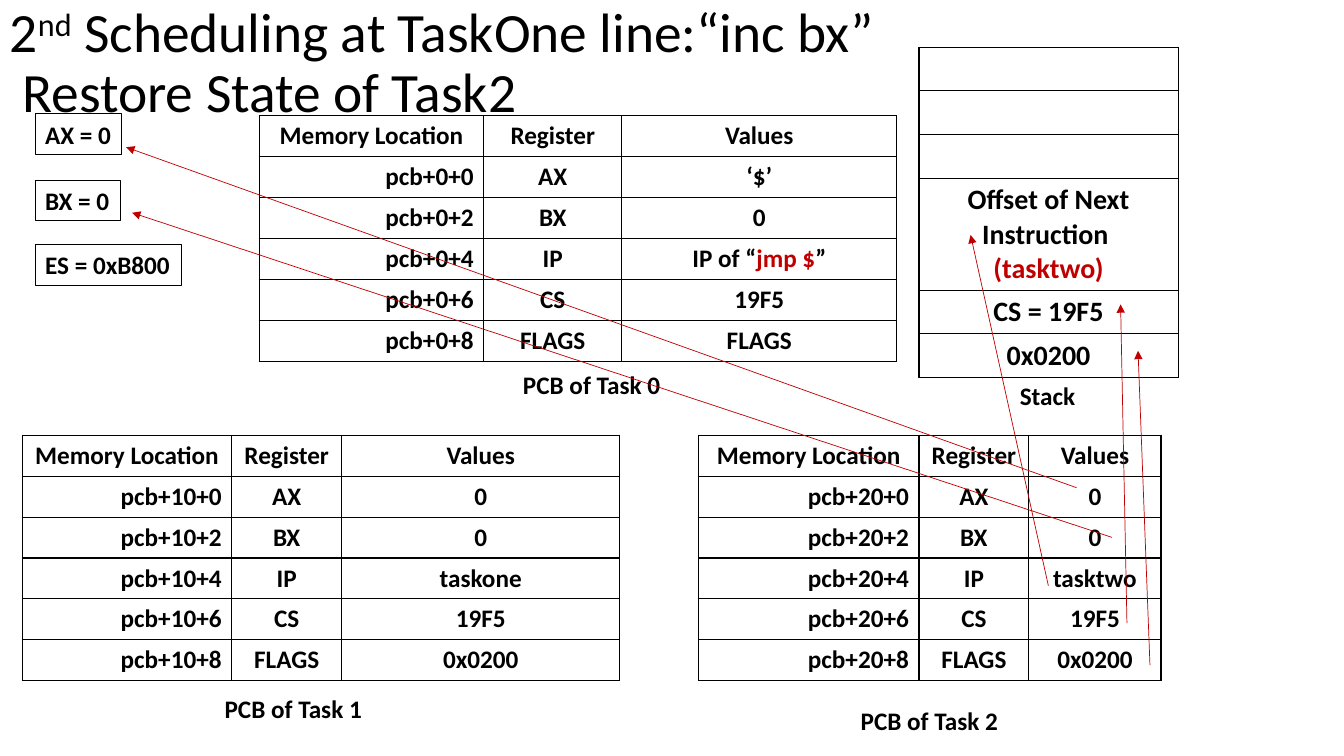
from typing import Any, NamedTuple

import pptx
import pptx.dml.color
import pptx.enum.dml
import pptx.enum.shapes
import pptx.enum.text
import pptx.oxml
import pptx.oxml.ns
import pptx.util
from pptx.util import Cm, Pt

COLORS = {"ink": "000000", "accent": "C00000", "paper": "FFFFFF"}
BODY = {"name": "Calibri", "size": Pt(18), "bold": True}
STACK_BODY = BODY | {"size": Pt(20)}
TITLE = {"name": "Calibri", "size": Pt(39.6), "bold": False}
TIGHT = {"word_wrap": False, "auto_size": pptx.enum.text.MSO_AUTO_SIZE.SHAPE_TO_FIT_TEXT}
PLAIN_TABLE = {"first_row": False, "horz_banding": False}
CENTER = pptx.enum.text.PP_ALIGN.CENTER
RIGHT = pptx.enum.text.PP_ALIGN.RIGHT
LEFT = pptx.enum.text.PP_ALIGN.LEFT
REGISTERS = ("AX", "BX", "IP", "CS", "FLAGS")
ROW_HEIGHT = 1.03
LABEL_HEIGHT = 1.02


class Pcb(NamedTuple):
    """Process control block; text between asterisks is accented."""
    offset: int
    left: float
    top: float
    widths: tuple[float, ...]
    values: tuple[str, ...]


class Label(NamedTuple):
    text: str
    left: float
    top: float
    width: float
    outlined: bool = False


class Arrow(NamedTuple):
    start: tuple[float, float]
    end: tuple[float, float]


PCBS = (
    Pcb(10, 0.56, 10.97, (5.28, 2.77, 7.01), ("0", "0", "taskone", "19F5", "0x0200")),
    Pcb(20, 17.6, 10.97, (5.56, 2.77, 3.33), ("0", "0", "tasktwo", "19F5", "0x0200")),
    Pcb(0, 6.53, 2.92, (5.66, 3.48, 6.93),
        ("‘$’", "0", "IP of “*jmp $*”", "19F5", "FLAGS")),
)
STACK_ROWS = (
    ("", 1.1), ("", 1.1), ("", 1.1),
    ("Offset of Next Instruction \n*(tasktwo)*", 2.82),
    ("CS = 19F5", 1.1), ("0x0200", 1.1),
)
LABELS = (
    Label("PCB of Task 1", 5.41, 17.35, 4.01),
    Label("PCB of Task 2", 21.44, 17.65, 4.01),
    Label("PCB of Task 0", 12.93, 9.19, 4.01),
    Label("Stack", 25.45, 9.47, 1.93),
    Label("AX = 0", 0.89, 2.87, 2.18, True),
    Label("BX = 0", 0.89, 4.55, 2.16, True),
    Label("ES = 0xB800", 0.89, 6.17, 3.68, True),
)
RESTORES = (
    Arrow((28.98, 16.76), (28.68, 8.84)),
    Arrow((28.4, 15.7), (28.24, 7.67)),
    Arrow((26.42, 14.76), (24.46, 5.92)),
    Arrow((28.02, 13.54), (3.33, 5.36)),
    Arrow((27.13, 12.29), (3.18, 3.71)),
)


def rgb(color: str) -> Any:
    return pptx.dml.color.RGBColor.from_string(COLORS[color])


def apply(target: Any, values: dict[str, Any]) -> None:
    for attribute, value in values.items():
        setattr(target, attribute, value)


def add_run(paragraph: Any, text: str, style: dict[str, Any], color: str = "ink") -> Any:
    run = paragraph.add_run()
    run.text = text
    apply(run.font, style)
    run.font.color.rgb = rgb(color)
    return run


def write(frame: Any, text: str, style: dict[str, Any], align: Any) -> None:
    """Fill a text frame, accenting whatever stands between asterisks."""
    for index, line in enumerate(text.split("\n")):
        paragraph = frame.add_paragraph() if index else frame.paragraphs[0]
        paragraph.alignment = align
        for part, words in enumerate(line.split("*")):
            if words:
                add_run(paragraph, words, style, "accent" if part % 2 else "ink")


def add_grid(slide: Any, left: float, top: float, widths: tuple[float, ...],
             heights: tuple[float, ...]) -> Any:
    """Add a white table with thin black borders."""
    table = slide.shapes.add_table(
        len(heights), len(widths), Cm(left), Cm(top), Cm(sum(widths)), Cm(sum(heights))).table
    apply(table, PLAIN_TABLE)
    for column, width in zip(table.columns, widths):
        column.width = Cm(width)
    for row, height in zip(table.rows, heights):
        row.height = Cm(height)
    for cell in table.iter_cells():
        properties = cell._tc.get_or_add_tcPr()
        for side in "LRTB":
            properties.append(pptx.oxml.parse_xml(
                f'<a:ln{side} {pptx.oxml.ns.nsdecls("a")} w="{Pt(1)}"><a:solidFill>'
                f'<a:srgbClr val="{COLORS["ink"]}"/></a:solidFill></a:ln{side}>'))
        cell.fill.solid()
        cell.fill.fore_color.rgb = rgb("paper")
    return table


def add_pcb(slide: Any, pcb: Pcb) -> None:
    rows = [("Memory Location", "Register", "Values")]
    for index, (register, value) in enumerate(zip(REGISTERS, pcb.values)):
        rows.append((f"pcb+{pcb.offset}+{2 * index}", register, value))
    table = add_grid(slide, pcb.left, pcb.top, pcb.widths, (ROW_HEIGHT,) * len(rows))
    for r, row in enumerate(rows):
        for c, text in enumerate(row):
            align = RIGHT if r and c == 0 else CENTER
            write(table.cell(r, c).text_frame, text, BODY, align)


def add_stack(slide: Any) -> None:
    heights = tuple(height for _, height in STACK_ROWS)
    table = add_grid(slide, 23.16, 1.19, (6.53,), heights)
    for r, (text, _) in enumerate(STACK_ROWS):
        write(table.cell(r, 0).text_frame, text, STACK_BODY, CENTER)


def add_label(slide: Any, label: Label) -> None:
    box = slide.shapes.add_textbox(
        Cm(label.left), Cm(label.top), Cm(label.width), Cm(LABEL_HEIGHT))
    apply(box.text_frame, TIGHT)
    write(box.text_frame, label.text, BODY, LEFT)
    if label.outlined:
        box.line.color.rgb = rgb("ink")
        box.line.width = Pt(0.75)


def add_arrow(slide: Any, arrow: Arrow) -> None:
    points = (Cm(value) for value in arrow.start + arrow.end)
    line = slide.shapes.add_connector(pptx.enum.shapes.MSO_CONNECTOR.STRAIGHT, *points)
    line.line.color.rgb = rgb("accent")
    line.line.width = Pt(0.5)
    namespace = pptx.oxml.ns.nsdecls("a")
    line.line._get_or_add_ln().append(
        pptx.oxml.parse_xml(f'<a:tailEnd {namespace} type="triangle"/>'))
    line._element.spPr.append(pptx.oxml.parse_xml(f"<a:effectLst {namespace}/>"))


def add_title(slide: Any) -> None:
    title = slide.shapes.add_textbox(Cm(0), Cm(0.69), Cm(33.87), Cm(1.88))
    apply(title.text_frame, {"word_wrap": True,
                             "vertical_anchor": pptx.enum.text.MSO_ANCHOR.MIDDLE})
    paragraph = title.text_frame.paragraphs[0]
    paragraph.line_spacing = 0.9
    add_run(paragraph, "2", TITLE)
    ordinal = add_run(paragraph, "nd", TITLE)
    ordinal._r.get_or_add_rPr().set("baseline", "30000")
    add_run(paragraph, " Scheduling at TaskOne line:“inc bx”", TITLE)
    paragraph.add_line_break()
    add_run(paragraph, " Restore State of Task2", TITLE)


def main() -> None:
    presentation = pptx.Presentation()
    apply(presentation, {"slide_width": Cm(33.87), "slide_height": Cm(19.05)})
    slide = presentation.slides.add_slide(presentation.slide_layouts[6])
    add_title(slide)
    for pcb in PCBS:
        add_pcb(slide, pcb)
    add_stack(slide)
    for label in LABELS:
        add_label(slide, label)
    for arrow in RESTORES:
        add_arrow(slide, arrow)
    presentation.save("out.pptx")


if __name__ == "__main__":
    main()
